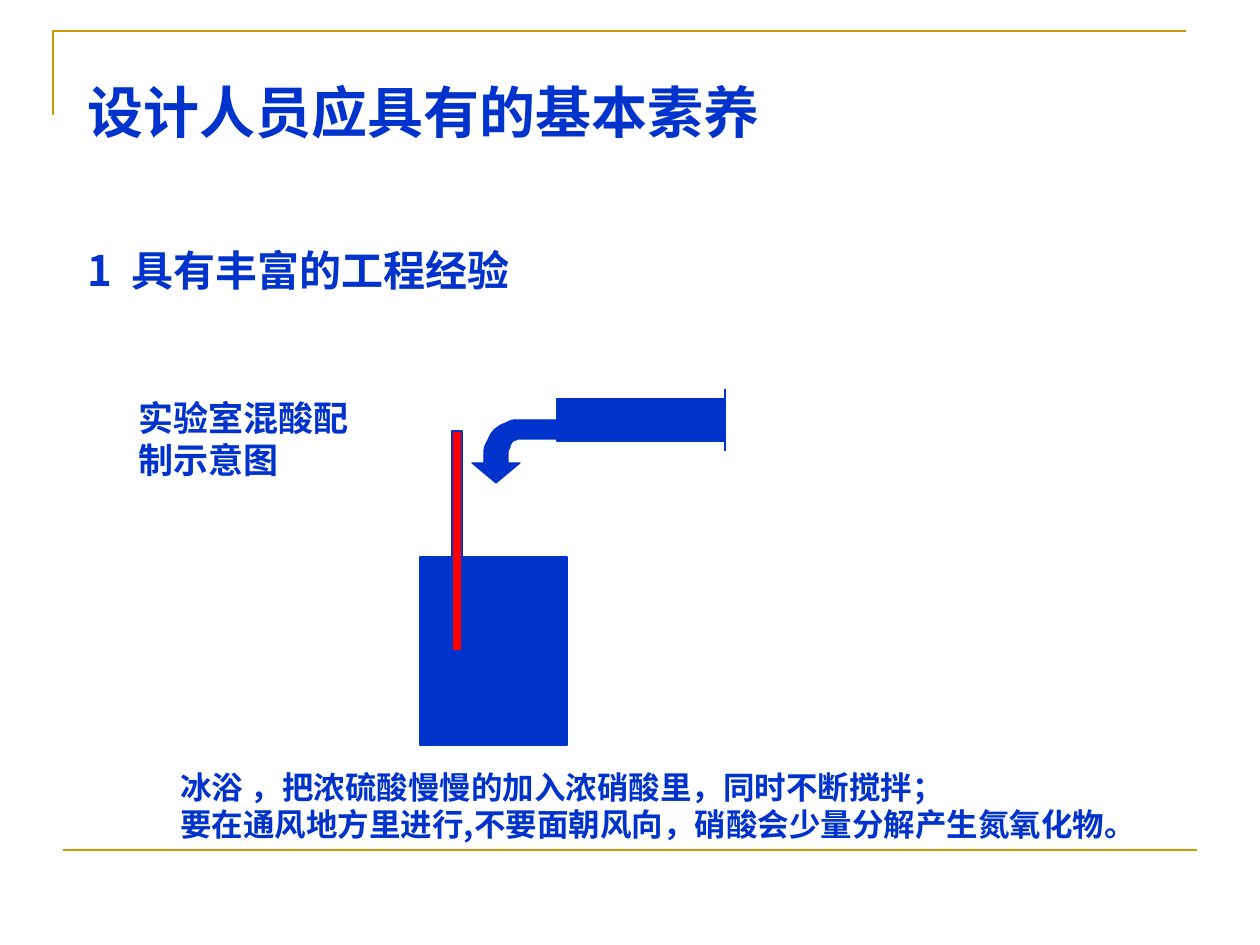
from dataclasses import dataclass

from lxml.etree import SubElement
from pptx import Presentation
from pptx.dml.color import RGBColor
from pptx.enum.shapes import MSO_CONNECTOR as Connector, MSO_SHAPE as Shape
from pptx.enum.text import MSO_ANCHOR as Anchor
from pptx.oxml.ns import qn
from pptx.util import Emu, Inches, Pt

PX_PER_INCH = 126
BLUE, GOLD, RED = "0033CC", "CC9900", "FF0000"
FONT = "Noto Sans CJK SC"
Point = tuple[int, int]


@dataclass
class Bar:
    left: int
    top: int
    width: int
    height: int
    fill: str = BLUE


@dataclass
class Rule:
    start: Point
    end: Point
    colour: str = BLUE
    weight: float = 0.75


@dataclass
class Line:
    text: str
    size: int
    spacing: int
    before: int = 0
    tracking: float = 0


def px(value: float) -> Emu:
    return Emu(round(value * Inches(1) / PX_PER_INCH))


def colour(code: str) -> RGBColor:
    return RGBColor.from_string(code)


def set_outline(shape, code: str, weight: float) -> None:
    shape.line.color.rgb = colour(code)
    shape.line.width = Pt(weight)


def draw_bar(page, bar: Bar) -> None:
    shape = page.shapes.add_shape(
        Shape.RECTANGLE, px(bar.left), px(bar.top), px(bar.width), px(bar.height))
    shape.shadow.inherit = False
    shape.fill.solid()
    shape.fill.fore_color.rgb = colour(bar.fill)
    set_outline(shape, BLUE, 0.75)


def draw_rule(page, rule: Rule) -> None:
    line = page.shapes.add_connector(
        Connector.STRAIGHT, *map(px, rule.start + rule.end))
    set_outline(line, rule.colour, rule.weight)
    SubElement(line._element.spPr, qn("a:effectLst"))


def draw_outline(page, points: list, code: str, weight: float, closed: bool) -> None:
    scale = Inches(1) / PX_PER_INCH
    builder = page.shapes.build_freeform(*points[0], scale=scale)
    builder.add_line_segments(points[1:], close=closed)
    shape = builder.convert_to_shape()
    shape.shadow.inherit = False
    if closed:
        shape.fill.solid()
        shape.fill.fore_color.rgb = colour(code)
    else:
        shape.fill.background()
    set_outline(shape, code, weight)


def curve(a: Point, b: Point, c: Point, d: Point, steps: int = 12) -> list:
    def blend(axis: int, t: float) -> float:
        u = 1 - t
        return (u**3 * a[axis] + 3 * u * u * t * b[axis]
                + 3 * u * t * t * c[axis] + t**3 * d[axis])
    return [(blend(0, i / steps), blend(1, i / steps)) for i in range(steps + 1)]


def add_text(page, lines: list[Line], *, left: int, top: int, width: int,
             height: int, wrap: bool = True, anchor=Anchor.TOP) -> None:
    box = page.shapes.add_textbox(px(left), px(top), px(width), px(height))
    frame = box.text_frame
    frame.word_wrap = wrap
    frame.vertical_anchor = anchor
    for index, line in enumerate(lines):
        para = frame.add_paragraph() if index else frame.paragraphs[0]
        para.line_spacing = Pt(line.spacing)
        para.space_before = Pt(line.before)
        head, gap, tail = line.text.partition(" ") if line.tracking else ("", "", line.text)
        for text in filter(None, (head + gap, tail)):
            span = para.add_run()
            span.text = text
            span.font.size = Pt(line.size)
            span.font.bold = True
            span.font.name = FONT
            span.font.color.rgb = colour(BLUE)
            properties = span._r.get_or_add_rPr()
            SubElement(properties, qn("a:ea")).set("typeface", FONT)
            if text == head + gap:
                properties.set("spc", str(round(line.tracking * 100)))


def main() -> None:
    deck = Presentation()
    deck.slide_width, deck.slide_height = Inches(10), Inches(7.5)
    page = deck.slides.add_slide(deck.slide_layouts[6])

    draw_outline(page, [(53, 115), (53, 31), (1186, 31)], GOLD, 1.5, False)
    draw_rule(page, Rule((63, 850), (1197, 850), GOLD, 1.5))

    beaker = Bar(420, 557, 147, 188)
    bottle = Bar(557, 399, 168, 42)
    stirrer = Bar(452, 431, 10, 220, RED)
    for bar in (beaker, bottle):
        draw_bar(page, bar)
    draw_rule(page, Rule((725, 389), (725, 451)))
    for tick in range(4):
        x = 599 + 21 * tick
        draw_rule(page, Rule((x, 431), (x, 441)))
    draw_bar(page, stirrer)

    pouring_arrow = [
        (496, 483), (472, 463), (484, 463),
        *curve((484, 456), (484, 436), (500, 420), (519, 420)),
        (557, 420), (557, 439),
        *curve((519, 439), (513, 439), (508, 446), (508, 456)),
        (508, 463), (520, 463),
    ]
    draw_outline(page, pouring_arrow, BLUE, 0.75, True)

    add_text(page, [Line("实验室混酸配制示意图", 20, 24)],
             left=126, top=390, width=252, height=97)
    add_text(page, [Line("设计人员应具有的基本素养", 32, 42),
                    Line("1 具有丰富的工程经验", 24, 29, before=57, tracking=2.7)],
             left=75, top=65, width=1144, height=233)
    add_text(page, [Line("冰浴 ，把浓硫酸慢慢的加入浓硝酸里，同时不断搅拌；", 18, 21),
                    Line("要在通风地方里进行,不要面朝风向，硝酸会少量分解产生氮氧化物。", 18, 21)],
             left=168, top=762, width=1019, height=88, wrap=False, anchor=Anchor.MIDDLE)

    deck.save("out.pptx")


if __name__ == "__main__":
    main()
